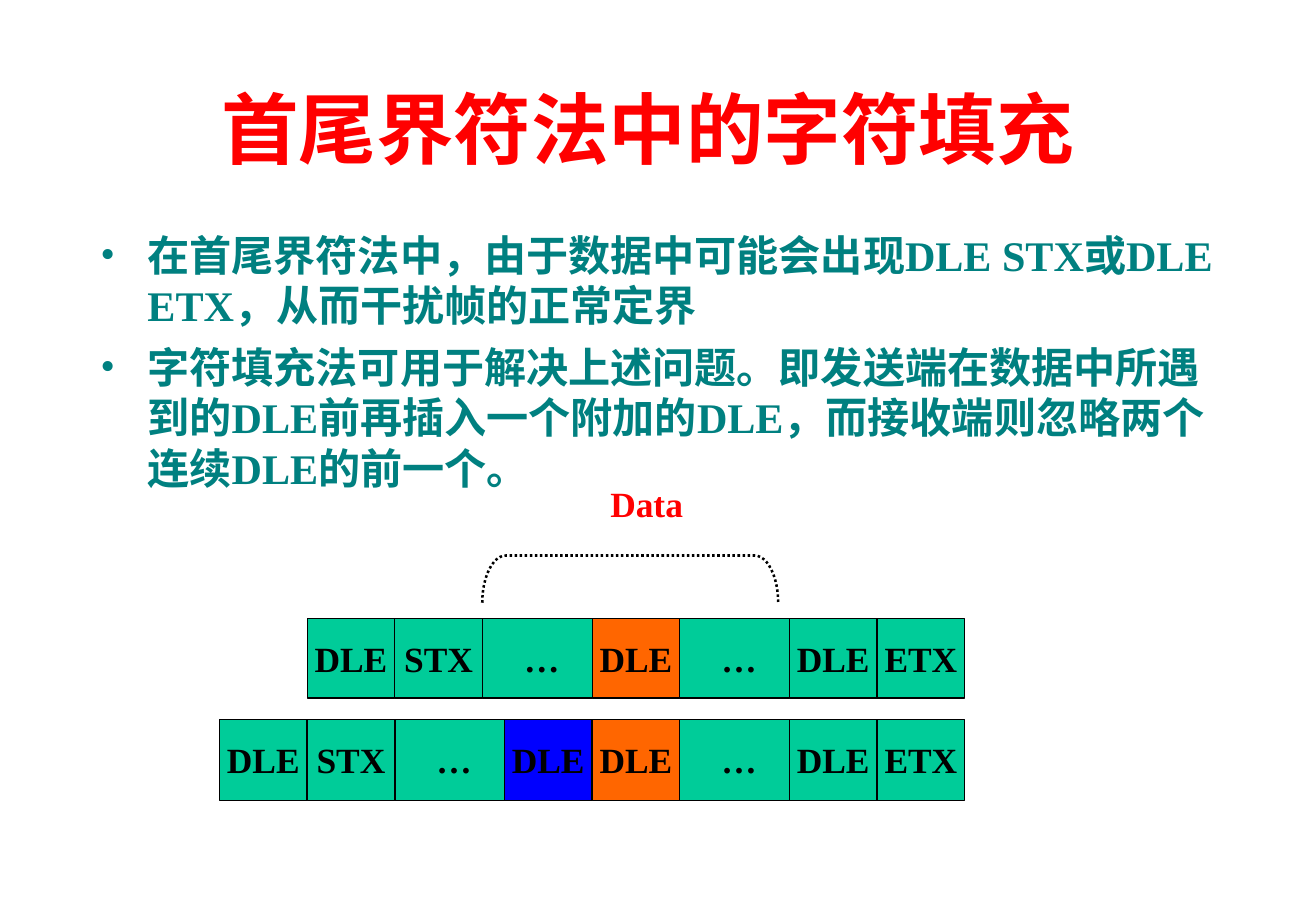
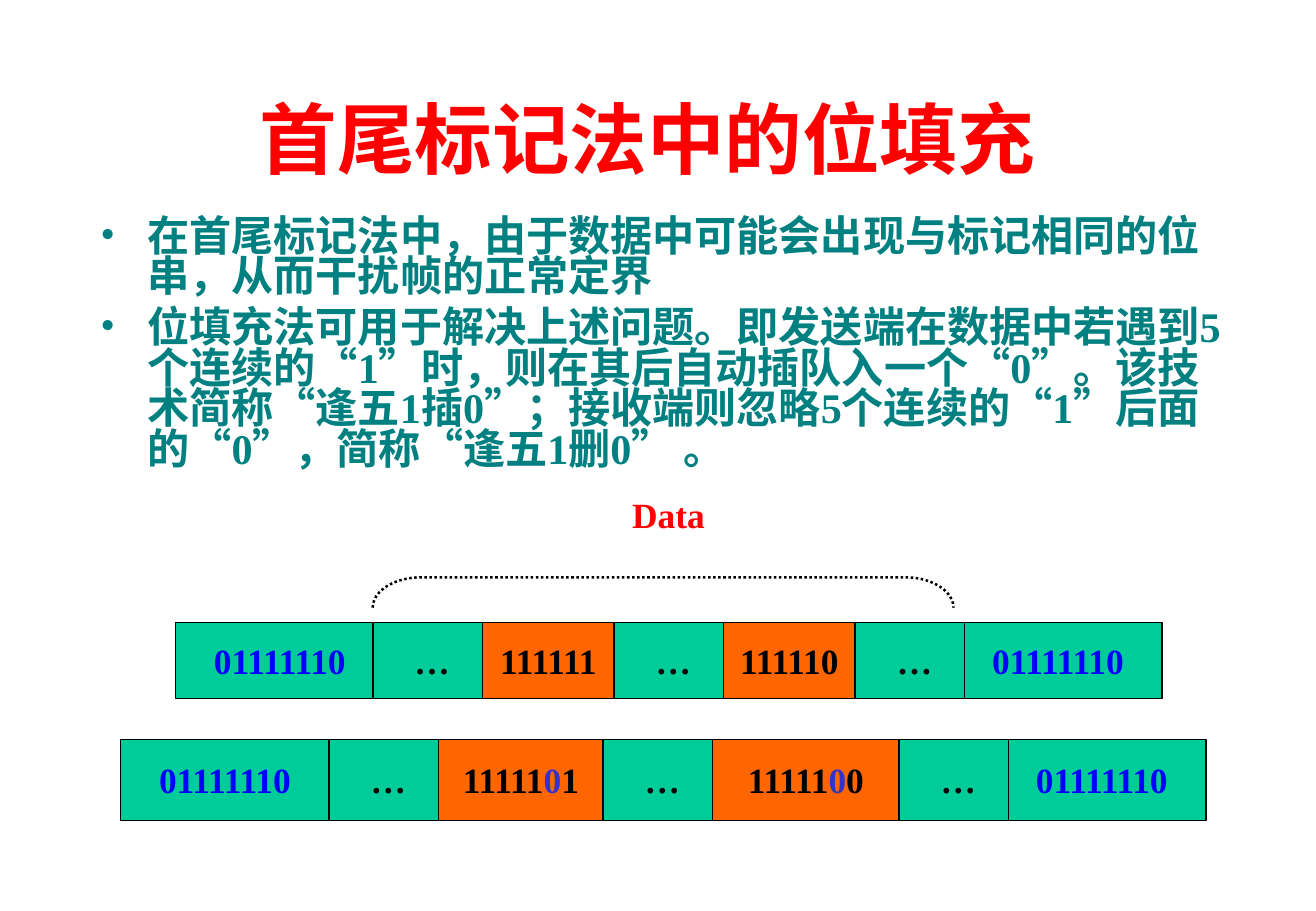
"""Build two slides on character stuffing and bit stuffing in framing."""
from dataclasses import dataclass

import pptx
import pptx.dml.color
import pptx.enum.dml
import pptx.enum.shapes
import pptx.enum.text
import pptx.oxml
import pptx.oxml.ns
import pptx.util

Pt = pptx.util.Pt
ALIGN = pptx.enum.text.PP_ALIGN
ANCHOR = pptx.enum.text.MSO_ANCHOR
SHAPE = pptx.enum.shapes.MSO_SHAPE

FONT = "Times New Roman"
RED, TEAL, BLACK, BLUE, INDIGO = "FF0000", "008080", "000000", "0000FF", "3333CC"
GREEN, ORANGE = "00CC99", "FF6600"
TITLE_SIZE, BODY_SIZE, LABEL_SIZE = 46, 25, 21
TEXT_LEFT = 52.4
UNIT = 13
FLAG_UNITS = 9.5


@dataclass(frozen=True)
class Run:
    text: str
    color: str = BLACK


@dataclass(frozen=True)
class Cell:
    runs: tuple[Run, ...]
    units: float
    fill: str = GREEN
    lap: float = 0


@dataclass(frozen=True)
class Row:
    left: float
    top: float
    height: float
    cells: tuple[Cell, ...]


@dataclass(frozen=True)
class Bracket:
    left: float
    top: float
    width: float
    height: float
    curve: float


@dataclass(frozen=True)
class Page:
    title: str
    title_top: float
    bullets: tuple[str, ...]
    body_top: float
    line_spacing: float
    label_left: float
    label_top: float
    bracket: Bracket
    rows: tuple[Row, ...]


def code(text: str, fill: str = GREEN) -> Cell:
    return Cell((Run(text),), 4, fill)


def dots(lap: float = 0) -> Cell:
    return Cell((Run(" …"),), 5, lap=lap)


def flag(lap: float = 0) -> Cell:
    return Cell((Run("01111110", BLUE),), FLAG_UNITS, lap=lap)


def bits(units: float, *runs: Run) -> Cell:
    return Cell(runs, units, ORANGE)


DLE, STX, ETX = code("DLE"), code("STX"), code("ETX")
DATA_DLE, STUFFED_DLE = code("DLE", ORANGE), code("DLE", BLUE)
ONES, STUFFED_ZERO = Run("11111"), Run("0", INDIGO)

PAGES = (
    Page(
        title="首尾界符法中的字符填充",
        title_top=30.3,
        bullets=(
            "在首尾界符法中，由于数据中可能会出现DLE STX或DLE ETX，从而干扰帧的正常定界",
            "字符填充法可用于解决上述问题。即发送端在数据中所遇到的DLE前再插入一个附加的DLE，"
            "而接收端则忽略两个连续DLE的前一个。",
        ),
        body_top=132.3,
        line_spacing=1.0,
        label_left=312,
        label_top=282.5,
        bracket=Bracket(286, 329.3, 175.5, 28, 0.5),
        rows=(
            Row(182.2, 366.8, 47, (DLE, STX, dots(), DATA_DLE, dots(), DLE, ETX)),
            Row(130.2, 426.4, 48, (DLE, STX, dots(), STUFFED_DLE, DATA_DLE, dots(), DLE, ETX)),
        ),
    ),
    Page(
        title="首尾标记法中的位填充",
        title_top=36.3,
        bullets=(
            "在首尾标记法中，由于数据中可能会出现与标记相同的位串，从而干扰帧的正常定界",
            "位填充法可用于解决上述问题。即发送端在数据中若遇到5个连续的“1”时，"
            "则在其后自动插队入一个“0”。该技术简称“逢五1插0”；"
            "接收端则忽略5个连续的“1”后面的“0”，简称“逢五1删0” 。",
        ),
        body_top=126.3,
        line_spacing=0.8,
        label_left=325,
        label_top=288.5,
        bracket=Bracket(221, 342.2, 344.5, 18, 1.6),
        rows=(
            Row(104.2, 369, 45, (
                flag(), dots(0.5), bits(6, Run("111111")), dots(),
                bits(6, Run("111110")), dots(), flag(0.5),
            )),
            Row(71.7, 438.2, 48, (
                flag(), dots(), bits(7.5, ONES, STUFFED_ZERO, Run("1")), dots(),
                bits(8.5, ONES, STUFFED_ZERO, Run("0")), dots(), flag(0.5),
            )),
        ),
    ),
)


def rgb(value: str) -> pptx.dml.color.RGBColor:
    return pptx.dml.color.RGBColor.from_string(value)


def add_run(p, run: Run, size: float) -> None:
    r = p.add_run()
    r.text = run.text
    r.font.name = FONT
    r.font.size = Pt(size)
    r.font.bold = True
    r.font.color.rgb = rgb(run.color)


def add_text(s, left: float, top: float, width: float, height: float, anchor):
    tf = s.shapes.add_textbox(Pt(left), Pt(top), Pt(width), Pt(height)).text_frame
    tf.word_wrap = True
    tf.vertical_anchor = anchor
    return tf


def add_line(s, left: float, top: float, width: float, height: float, run: Run,
             size: float, anchor) -> None:
    p = add_text(s, left, top, width, height, anchor).paragraphs[0]
    p.alignment = ALIGN.CENTER
    add_run(p, run, size)


def add_bullets(s, page: Page) -> None:
    tf = add_text(s, TEXT_LEFT, page.body_top, 689, 168, ANCHOR.TOP)
    ns = pptx.oxml.ns.nsdecls("a")
    for i, text in enumerate(page.bullets):
        p = tf.add_paragraph() if i else tf.paragraphs[0]
        p.line_spacing = page.line_spacing
        p.space_before = Pt(6.2)
        props = p._p.get_or_add_pPr()
        props.set("marL", str(Pt(28)))
        props.set("indent", str(Pt(-28)))
        for xml in (
            f'<a:buClr {ns}><a:srgbClr val="{TEAL}"/></a:buClr>',
            f'<a:buFont {ns} typeface="{FONT}"/>',
            f'<a:buChar {ns} char="•"/>',
        ):
            props.append(pptx.oxml.parse_xml(xml))
        add_run(p, Run(text, TEAL), BODY_SIZE)


def add_bracket(s, b: Bracket) -> None:
    left = b.left + (b.width - b.height) / 2
    top = b.top + (b.height - b.width) / 2
    sp = s.shapes.add_shape(SHAPE.LEFT_BRACKET, Pt(left), Pt(top), Pt(b.height), Pt(b.width))
    sp.rotation = 90
    sp.adjustments[0] = b.curve
    sp.shadow.inherit = False
    sp.fill.background()
    sp.line.color.rgb = rgb(BLACK)
    sp.line.width = Pt(1.5)
    sp.line.dash_style = pptx.enum.dml.MSO_LINE.ROUND_DOT


def add_cell(s, row: Row, left: float, cell: Cell) -> None:
    sp = s.shapes.add_shape(SHAPE.RECTANGLE, Pt(left), Pt(row.top),
                            Pt(cell.units * UNIT), Pt(row.height))
    sp.shadow.inherit = False
    sp.fill.solid()
    sp.fill.fore_color.rgb = rgb(cell.fill)
    sp.line.color.rgb = rgb(BLACK)
    sp.line.width = Pt(0.75)
    tf = sp.text_frame
    tf.word_wrap = False
    tf.vertical_anchor = ANCHOR.MIDDLE
    p = tf.paragraphs[0]
    p.alignment = ALIGN.CENTER
    for run in cell.runs:
        add_run(p, run, LABEL_SIZE)


def add_row(s, row: Row) -> None:
    placed = []
    right = row.left
    for cell in row.cells:
        left = right - cell.lap * UNIT
        placed.append((left, cell))
        right = left + cell.units * UNIT
    for left, cell in sorted(placed, key=lambda item: item[1].units < FLAG_UNITS):
        add_cell(s, row, left, cell)


def add_page(prs, page: Page) -> None:
    s = prs.slides.add_slide(prs.slide_layouts[6])
    add_line(s, TEXT_LEFT, page.title_top, 663, 90, Run(page.title, RED),
             TITLE_SIZE, ANCHOR.MIDDLE)
    add_bullets(s, page)
    add_line(s, page.label_left, page.label_top, 143, 33, Run("Data", RED),
             LABEL_SIZE, ANCHOR.TOP)
    add_bracket(s, page.bracket)
    for row in page.rows:
        add_row(s, row)


def main() -> None:
    prs = pptx.Presentation()
    prs.slide_width = Pt(780.48)
    prs.slide_height = Pt(540)
    for page in PAGES:
        add_page(prs, page)
    prs.save("out.pptx")


if __name__ == "__main__":
    main()
